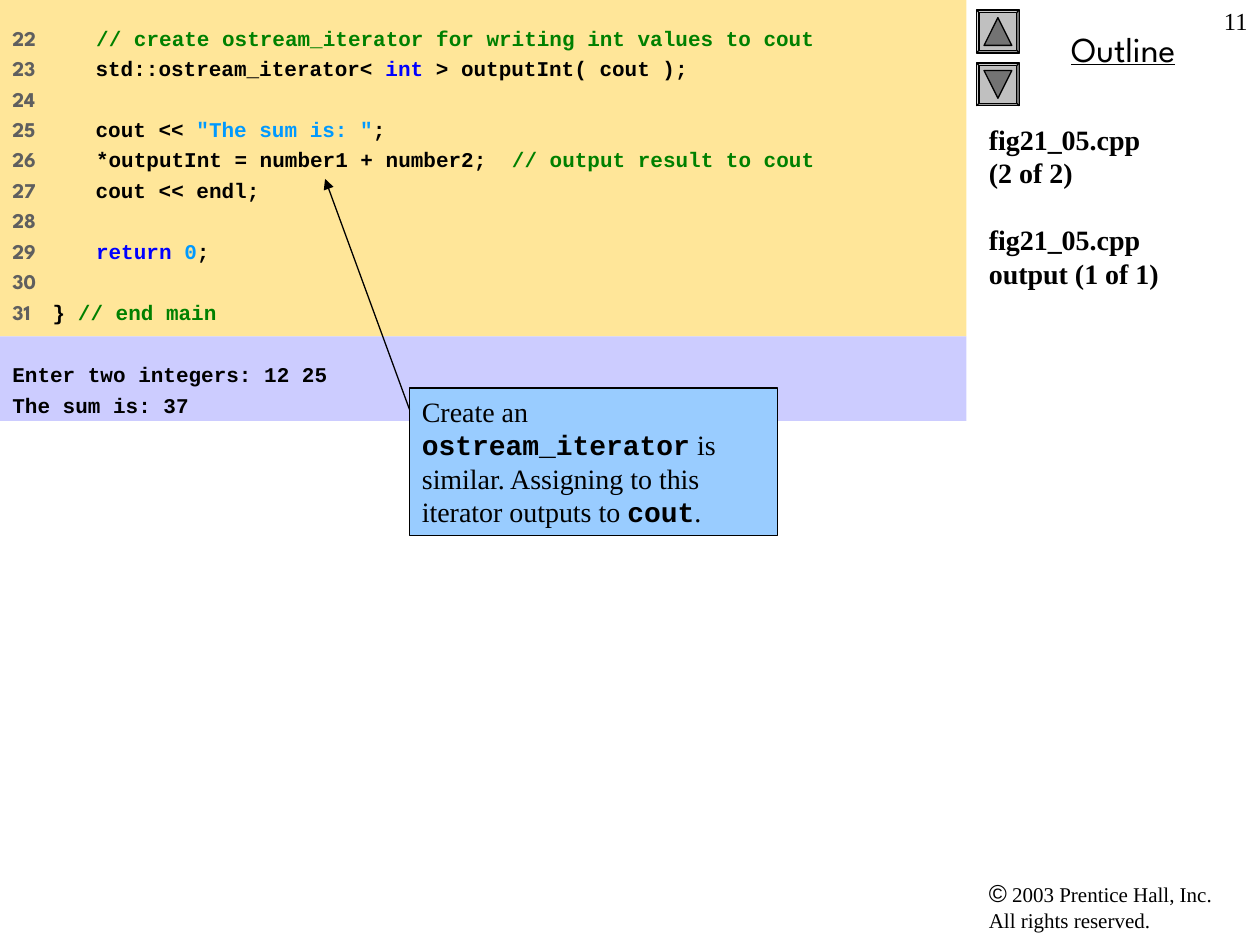
from lxml import etree
from pptx import Presentation
from pptx import util as u
from pptx.dml.color import RGBColor
from pptx.enum import shapes, text
from pptx.oxml.ns import qn

COLORS = {
    "black": "000000", "number": "5F5F5F", "comment": "008000",
    "keyword": "0000FF", "literal": "0099FF", "code_bg": "FFE699",
    "output_bg": "CCCCFF", "callout_bg": "99CCFF",
    "button": "C0C0C0", "button_arrow": "737373",
}
MONO, SERIF, DISPLAY = "Courier New", "Times New Roman", "League Spartan"

# Each code line: number with its gap, then (text, colour) pieces
CODE = [
    ("22    ", ("   // create ostream_iterator for writing int values to cout", "comment")),
    ("23    ", ("   std::ostream_iterator< ", "black"), ("int", "keyword"),
     (" > outputInt( cout );", "black")),
    ("24",),
    ("25    ", ("   cout << ", "black"), ('"The sum is: "', "literal"), (";", "black")),
    ("26    ", ("   *outputInt = number1 + number2;  ", "black"),
     ("// output result to cout", "comment")),
    ("27    ", ("   cout << endl;", "black")),
    ("28",),
    ("29    ", ("   return ", "keyword"), ("0", "literal"), (";", "black")),
    ("30",),
    ("31    ", ("} ", "black"), ("// end main", "comment")),
]


class Deck:
    def __init__(self):
        self.prs = Presentation()
        self.prs.slide_width, self.prs.slide_height = u.Inches(10), u.Inches(7.5)
        self.s = self.prs.slides.add_slide(self.prs.slide_layouts[6])

    def color(self, name):
        return RGBColor.from_string(COLORS[name])

    def run(self, words, font, size, color="black", bold=False, underline=False):
        return words, font, size, color, bold, underline

    def fill_text(self, sp, paragraphs, gap=0, align=text.PP_ALIGN.LEFT, inset=0.05):
        """Write paragraphs, each a list of runs; a newline is a line break."""
        tf = sp.text_frame
        tf.word_wrap = True
        tf.vertical_anchor = text.MSO_ANCHOR.TOP
        tf.margin_left = tf.margin_right = u.Inches(0.1)
        tf.margin_top = tf.margin_bottom = u.Inches(inset)
        for i, runs in enumerate(paragraphs):
            p = tf.add_paragraph() if i else tf.paragraphs[0]
            p.alignment = align
            p.space_before = u.Pt(gap if i else 0)
            for words, font, size, color, bold, underline in runs:
                for j, line in enumerate(words.split("\n")):
                    if j:
                        p.add_line_break()
                    r = p.add_run()
                    r.text = line
                    r.font.name, r.font.size = font, u.Pt(size)
                    r.font.bold, r.font.underline = bold, underline
                    r.font.color.rgb = self.color(color)

    def textbox(self, x, y, w, h, paragraphs, **style):
        sp = self.s.shapes.add_textbox(*map(u.Inches, (x, y, w, h)))
        self.fill_text(sp, paragraphs, **style)

    def shape(self, kind, x, y, w, h, fill, outlined=False):
        sp = self.s.shapes.add_shape(kind, *map(u.Inches, (x, y, w, h)))
        sp.shadow.inherit = False
        sp.fill.solid()
        sp.fill.fore_color.rgb = self.color(fill)
        if outlined:
            sp.line.color.rgb = self.color("black")
            sp.line.width = u.Pt(0.75)
        else:
            sp.line.fill.background()
        return sp

    def panel(self, x, y, w, h, fill, paragraphs, outlined=False, **style):
        sp = self.shape(shapes.MSO_SHAPE.RECTANGLE, x, y, w, h, fill, outlined)
        self.fill_text(sp, paragraphs, **style)

    def button(self, x, y, rotation):
        bevel = self.shape(shapes.MSO_SHAPE.BEVEL, x, y, 0.34, 0.34, "button", True)
        bevel.adjustments[0] = 0.06
        arrow = self.shape(shapes.MSO_SHAPE.ISOSCELES_TRIANGLE,
                           x + 0.06, y + 0.06, 0.22, 0.22, "button_arrow", True)
        arrow.rotation = rotation

    def arrow(self, x1, y1, x2, y2):
        c = self.s.shapes.add_connector(shapes.MSO_CONNECTOR.STRAIGHT,
                                        *map(u.Inches, (x1, y1, x2, y2)))
        c.line.color.rgb = self.color("black")
        c.line.width = u.Pt(0.75)
        spPr = c._element.spPr
        etree.SubElement(spPr.find(qn("a:ln")), qn("a:tailEnd"), type="triangle")
        etree.SubElement(spPr, qn("a:effectLst"))


def main():
    d = Deck()

    # Sidebar: copyright, heading, buttons, slide number
    d.textbox(7.75, 6.92, 2.17, 0.54, [[
        d.run("©", "Arial", 14),
        d.run(" 2003 Prentice Hall, Inc.\nAll rights reserved.", SERIF, 12)]])
    d.textbox(7.83, 0.17, 2.17, 0.44,
              [[d.run("Outline", DISPLAY, 20, underline=True)]],
              align=text.PP_ALIGN.CENTER)
    d.button(7.75, 0.08, 0)
    d.button(7.75, 0.5, 180)
    d.textbox(9.5, 0, 0.5, 0.5, [[d.run("11", SERIF, 14)]],
              align=text.PP_ALIGN.RIGHT)

    # Sidebar: file list
    files = ["fig21_05.cpp\n(2 of 2)", "fig21_05.cpp\noutput (1 of 1)"]
    d.textbox(7.75, 0.92, 2.25, 5.25,
              [[d.run(f, SERIF, 16, bold=True)] for f in files], gap=19)

    # Code listing and program output
    code = [[d.run(number, DISPLAY, 12, "number", True)]
            + [d.run(words, MONO, 12, color, True) for words, color in pieces]
            for number, *pieces in CODE]
    d.panel(0, 0, 7.67, 2.67, "code_bg", code, gap=3, inset=0.2)
    output = ["Enter two integers: 12 25", "The sum is: 37"]
    d.panel(0, 2.67, 7.67, 0.67, "output_bg",
            [[d.run(o, MONO, 12, bold=True)] for o in output], gap=3, inset=0.2)

    # Callout with its arrow
    d.panel(3.25, 3.08, 2.92, 1.17, "callout_bg", [[
        d.run("Create an ", SERIF, 16),
        d.run("ostream_iterator", MONO, 16, bold=True),
        d.run(" is similar. Assigning to this iterator outputs to ", SERIF, 16),
        d.run("cout", MONO, 16, bold=True),
        d.run(".", SERIF, 16)]], outlined=True)
    d.arrow(3.25, 3.25, 2.58, 1.42)

    d.prs.save("out.pptx")


if __name__ == "__main__":
    main()
